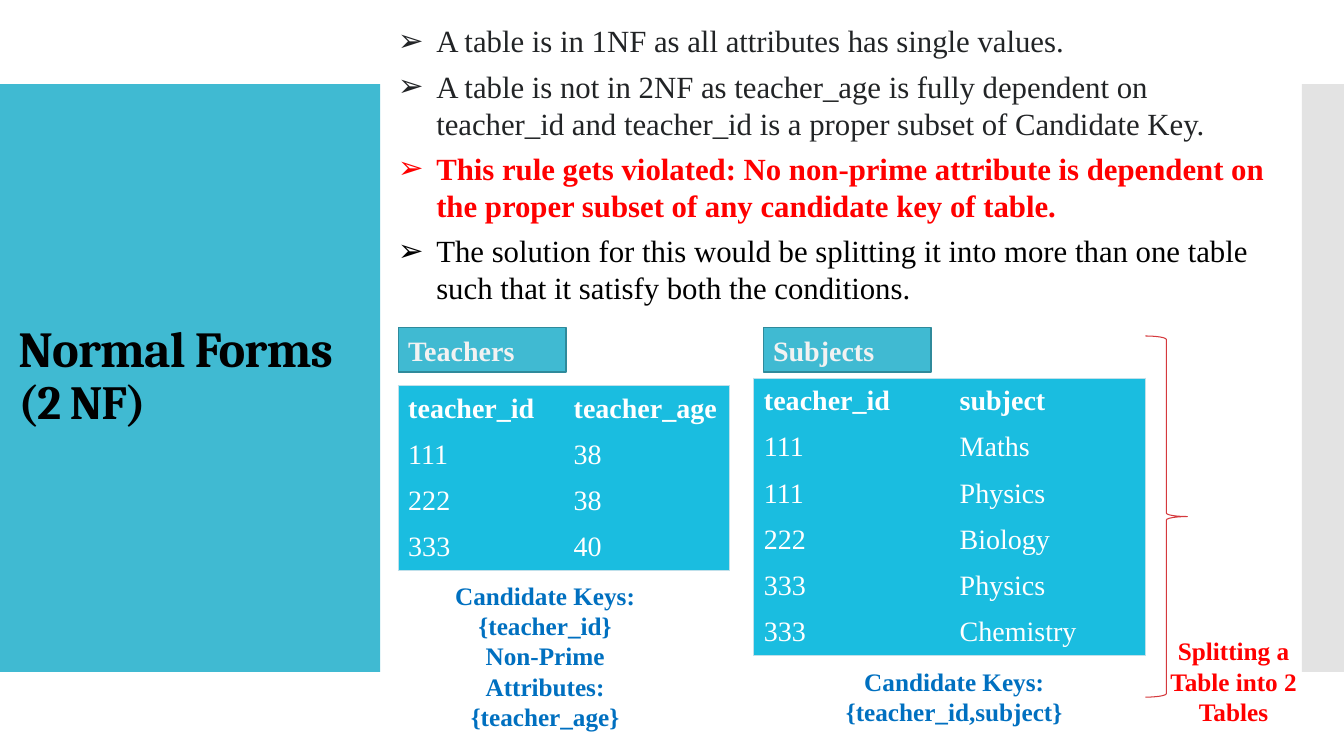
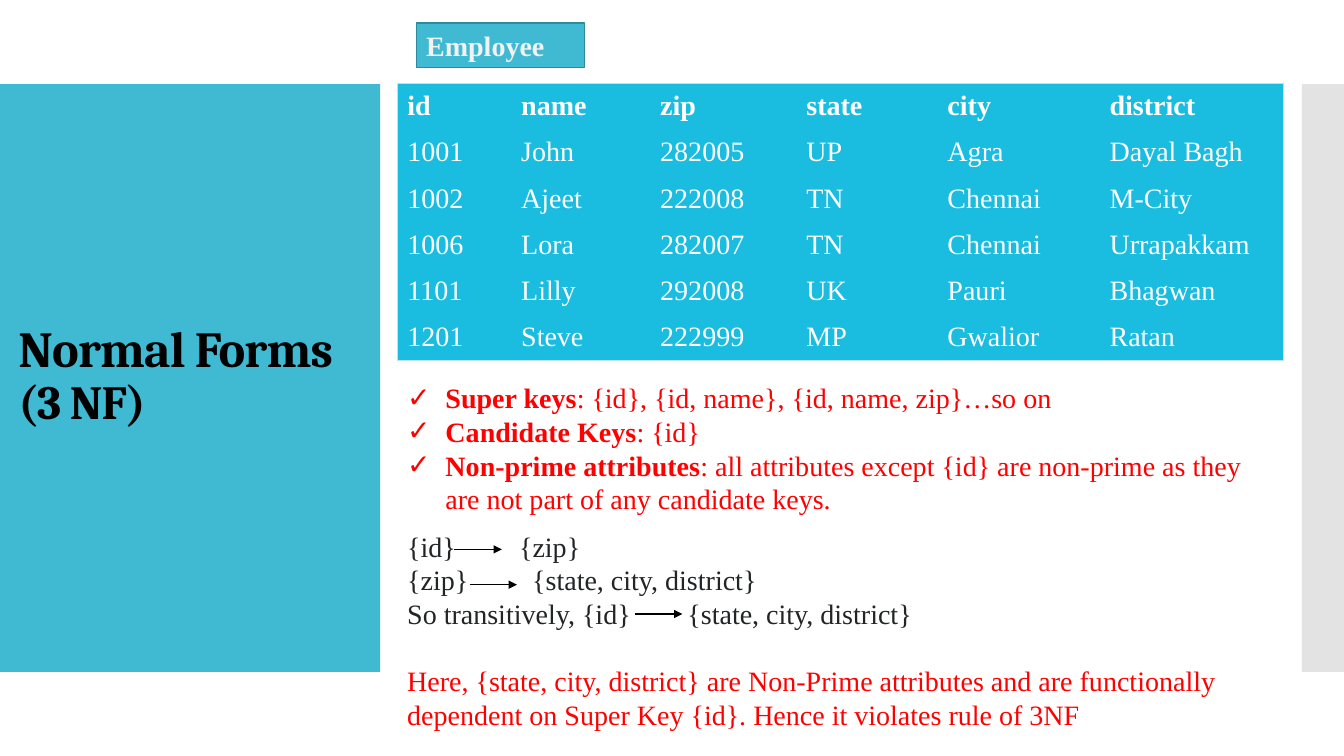
from collections import namedtuple

from pptx import Presentation
from pptx.dml.color import RGBColor
from pptx.enum.shapes import MSO_CONNECTOR, MSO_SHAPE
from pptx.enum.text import MSO_ANCHOR, MSO_AUTO_SIZE, PP_ALIGN
from pptx.oxml.ns import qn
from pptx.util import Inches, Pt
from lxml.etree import SubElement
from copy import deepcopy

COLORS = {name: RGBColor.from_string(value) for name, value in {
    "teal": "40BAD2", "teal_edge": "2F8A9B", "gray": "C8C8C8",
    "table": "1ABDE0", "table_edge": "C0E0EA", "white": "FFFFFF",
    "label": "F2F2F2", "black": "000000", "ink": "222426",
    "red": "FF0000", "blue": "0070C0", "brace": "D5393D",
}.items()}
BODY_FONT, TITLE_FONT = "Times New Roman", "Cambria"
INDENT = Inches(0.38)

prs = Presentation()
prs.slide_width, prs.slide_height = Inches(13.33), Inches(7.5)
COL, ROW = prs.slide_width / 32, prs.slide_height / 18


def place(col, row, cols, rows):
    """Turn grid columns and rows into left, top, width, height."""
    return int(col * COL), int(row * ROW), int(cols * COL), int(rows * ROW)


def style(r, size, color, bold=False, font=BODY_FONT):
    r.font.name, r.font.size, r.font.bold = font, Pt(size), bold
    r.font.color.rgb = COLORS[color]


# Shared layout: title place and side bands
layout = prs.slide_layouts[5]
title = layout.placeholders[0]
title.left, title.top, title.width, title.height = place(0.2, 2.95, 8.64, 12.07)
slides = [prs.slides.add_slide(layout) for _ in range(2)]

for color, col, cols, alpha in (("teal", 0, 9.05, 100), ("gray", 31, 1, 50)):
    sp = slides[0].shapes.add_shape(MSO_SHAPE.RECTANGLE, *place(col, 2, cols, 14))
    sp.shadow.inherit = False
    sp.fill.solid()
    sp.fill.fore_color.rgb = COLORS[color]
    sp.line.fill.background()
    if alpha < 100:
        clr = sp.fill._xPr.find(".//" + qn("a:srgbClr"))
        SubElement(clr, qn("a:alpha")).set("val", str(alpha * 1000))
    layout.shapes._spTree.insert(2, sp._element)

# Titles
for s, form in zip(slides, ("(2 NF)", "(3 NF)")):
    tf = s.shapes.title.text_frame
    tf.text = f"Normal Forms\v{form}"
    tf.word_wrap, tf.auto_size = True, MSO_AUTO_SIZE.NONE
    tf.vertical_anchor = MSO_ANCHOR.MIDDLE
    p = tf.paragraphs[0]
    p.alignment, p.line_spacing = PP_ALIGN.LEFT, 0.9
    for r, size in zip(p.runs, (36, 34)):
        style(r, size, "black", True, TITLE_FONT)
        r.font._element.set("spc", "-60")
    p._p.find(qn("a:br")).insert(0, deepcopy(p.runs[0].font._element))

# Table name labels
for s, col, row, name in (
    (slides[0], 9.48, 7.8, "Teachers"),
    (slides[0], 18.17, 7.8, "Subjects"),
    (slides[1], 9.91, 0.55, "Employee"),
):
    sp = s.shapes.add_shape(MSO_SHAPE.RECTANGLE, *place(col, row, 4, 1.06))
    sp.shadow.inherit = False
    sp.fill.solid()
    sp.fill.fore_color.rgb = COLORS["teal"]
    sp.line.color.rgb, sp.line.width = COLORS["teal_edge"], Pt(0.85)
    p = sp.text_frame.paragraphs[0]
    p.text, p.alignment = name, PP_ALIGN.LEFT
    style(p.runs[0], 20, "label", True)

# Tables: slide, corner, column widths, rows
teachers = [("teacher_id", "teacher_age"), ("111", "38"), ("222", "38"), ("333", "40")]
subjects = [
    ("teacher_id", "subject"), ("111", "Maths"), ("111", "Physics"),
    ("222", "Biology"), ("333", "Physics"), ("333", "Chemistry"),
]
employees = [
    ("id", "name", "zip", "state", "city", "district"),
    ("1001", "John", "282005", "UP", "Agra", "Dayal Bagh"),
    ("1002", "Ajeet", "222008", "TN", "Chennai", "M-City"),
    ("1006", "Lora", "282007", "TN", "Chennai", "Urrapakkam"),
    ("1101", "Lilly", "292008", "UK", "Pauri", "Bhagwan"),
    ("1201", "Steve", "222999", "MP", "Gwalior", "Ratan"),
]
for s, col, row, widths, data in (
    (slides[0], 9.48, 9.18, [3.94] * 2, teachers),
    (slides[0], 17.95, 9, [4.66] * 2, subjects),
    (slides[1], 9.46, 1.98, [2.71, 3.31, 3.48, 3.36, 3.86, 4.37], employees),
):
    last_row, last_col = len(data) - 1, len(widths) - 1
    tbl = s.shapes.add_table(
        len(data), len(widths), *place(col, row, sum(widths), 1.1 * len(data))).table
    tbl.horz_banding = False
    # "No Style, No Grid"
    tbl._tbl.tblPr.find(qn("a:tableStyleId")).text = "{2D5ABB26-0587-4C30-8999-92F81FD0307C}"
    for column, width in zip(tbl.columns, widths):
        column.width = int(width * COL)
    for i, values in enumerate(data):
        for j, value in enumerate(values):
            cell = tbl.cell(i, j)
            cell.text = value
            cell.vertical_anchor = MSO_ANCHOR.MIDDLE
            cell.margin_left = cell.margin_right = Inches(0.1)
            cell.margin_top = cell.margin_bottom = Inches(0.06)
            style(cell.text_frame.paragraphs[0].runs[0], 20, "white", i == 0)
            # Outer border only
            tcPr = cell._tc.get_or_add_tcPr()
            for side, outer in (("L", j == 0), ("R", j == last_col),
                                ("T", i == 0), ("B", i == last_row)):
                if outer:
                    ln = SubElement(tcPr, qn(f"a:ln{side}"), w=str(Pt(0.75)))
                    fill = SubElement(ln, qn("a:solidFill"))
                    SubElement(fill, qn("a:srgbClr"), val=str(COLORS["table_edge"]))
            cell.fill.solid()
            cell.fill.fore_color.rgb = COLORS["table"]

# Brace beside the split tables
sp = slides[0].shapes.add_shape(MSO_SHAPE.RIGHT_BRACE, *place(27.27, 8, 1, 8.6))
sp.shadow.inherit = False
sp.fill.background()
sp.line.color.rgb, sp.line.width = COLORS["brace"], Pt(0.75)

# Text boxes: slide, place, size, alignment, bullet, paragraphs
Para = namedtuple("Para", "color bold plain before tab", defaults=("", "", 0, None))
rules = [
    Para("ink", plain="A table is in 1NF as all attributes has single values."),
    Para("ink", plain="A table is not in 2NF as teacher_age is fully dependent on "
         "teacher_id and teacher_id is a proper subset of Candidate Key.", before=6),
    Para("red", "This rule gets violated: No non-prime attribute is dependent on "
         "the proper subset of any candidate key of table.", before=6),
    Para("black", plain="The solution for this would be splitting it into more than one "
         "table such that it satisfy both the conditions.", before=6),
]
teacher_keys = [Para("blue", text) for text in (
    "Candidate Keys:", "{teacher_id}", "Non-Prime Attributes:", "{teacher_age}")]
subject_keys = [Para("blue", text) for text in ("Candidate Keys:", "{teacher_id,subject}")]
split_note = [Para("red", "Splitting a Table into 2 Tables")]
employee_keys = [
    Para("red", "Super keys", ": {id}, {id, name}, {id, name, zip}…so on"),
    Para("red", "Candidate Keys", ": {id}"),
    Para("red", "Non-prime attributes", ": all attributes except {id} are non-prime "
         "as they are not part of any candidate keys."),
]
dependencies = [
    Para("ink", plain="{id}\t{zip}", tab=1.11),
    Para("ink", plain="{zip}\t{state, city, district}", tab=1.24),
    Para("ink", plain="So transitively, {id}\t{state, city, district}", tab=2.78),
    Para("red", plain="Here, {state, city, district} are Non-Prime attributes and are "
         "functionally dependent on Super Key {id}. Hence it violates rule of 3NF", before=24),
]
LEFT, CENTER = PP_ALIGN.LEFT, PP_ALIGN.CENTER
for s, area, size, align, bullet, paras in (
    (slides[0], (9.24, 0.41, 21.38, 7.08), 22, LEFT, "➢", rules),
    (slides[0], (27.46, 15.02, 3.82, 2.42), 18, CENTER, None, split_note),
    (slides[0], (10.1, 13.7, 5.76, 3.8), 18, CENTER, None, teacher_keys),
    (slides[0], (18.17, 15.74, 9.1, 1.7), 18, CENTER, None, subject_keys),
    (slides[1], (9.46, 8.95, 21.12, 3.48), 20, LEFT, "✓", employee_keys),
    (slides[1], (9.46, 12.48, 21.7, 5.09), 20, LEFT, None, dependencies),
):
    tf = s.shapes.add_textbox(*place(*area)).text_frame
    tf.word_wrap = True
    for i, para in enumerate(paras):
        p = tf.add_paragraph() if i else tf.paragraphs[0]
        p.alignment = align
        pPr = p._p.get_or_add_pPr()
        if bullet:
            pPr.set("marL", str(INDENT))
            pPr.set("indent", str(-INDENT))
            SubElement(pPr, qn("a:buFont"), typeface="Arial")
            SubElement(pPr, qn("a:buChar"), char=bullet)
        if para.tab:
            tabs = SubElement(pPr, qn("a:tabLst"))
            SubElement(tabs, qn("a:tab"), pos=str(Inches(para.tab)), algn="l")
        if para.before:
            p.space_before = Pt(para.before)
        for text, bold in ((para.bold, True), (para.plain, False)):
            if text:
                r = p.add_run()
                r.text = text
                style(r, size, para.color, bold)

# Dependency arrows
for col, row in ((10.82, 13.08), (11.18, 13.92), (15.12, 14.62)):
    x, y, length, _ = place(col, row, 1.13, 0)
    cxn = slides[1].shapes.add_connector(MSO_CONNECTOR.STRAIGHT, x, y, x + length, y)
    cxn.line.color.rgb, cxn.line.width = COLORS["black"], Pt(0.75)
    SubElement(cxn.line._get_or_add_ln(), qn("a:tailEnd"), type="triangle")
    SubElement(cxn._element.spPr, qn("a:effectLst"))

prs.save("out.pptx")
